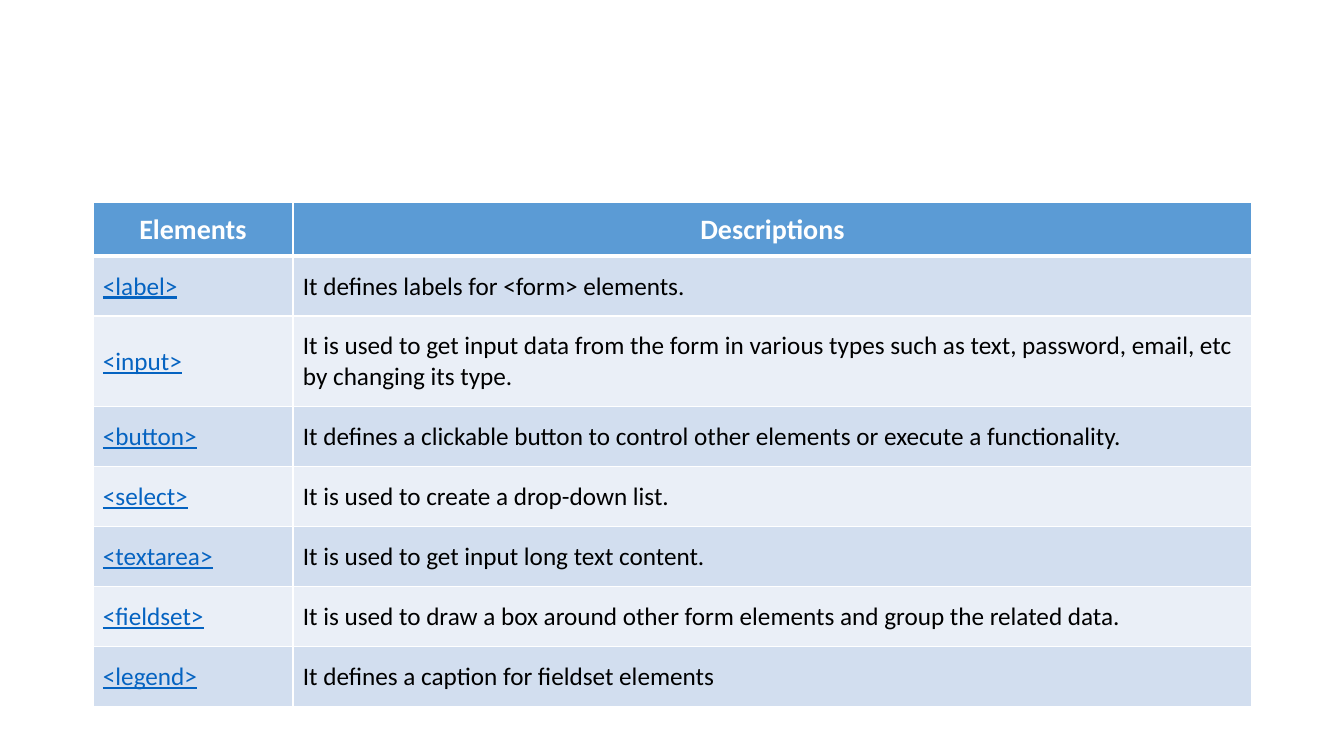
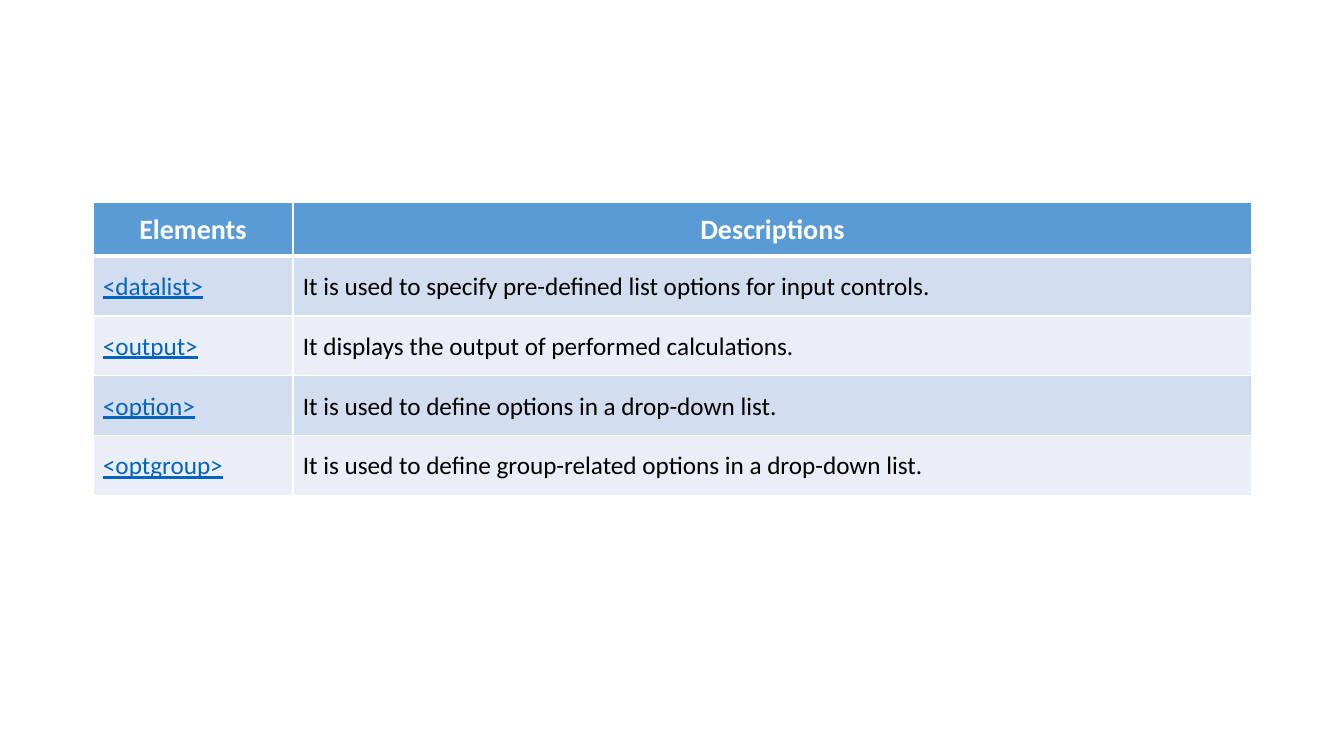
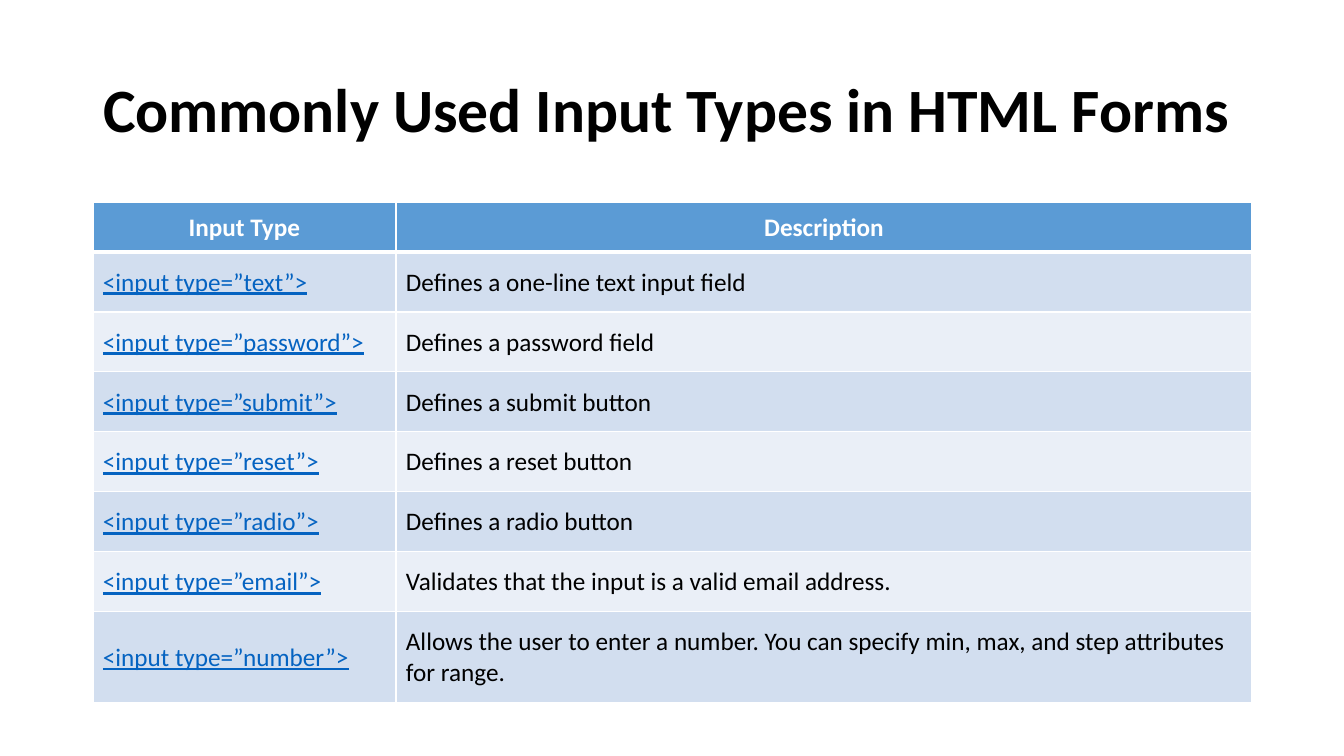
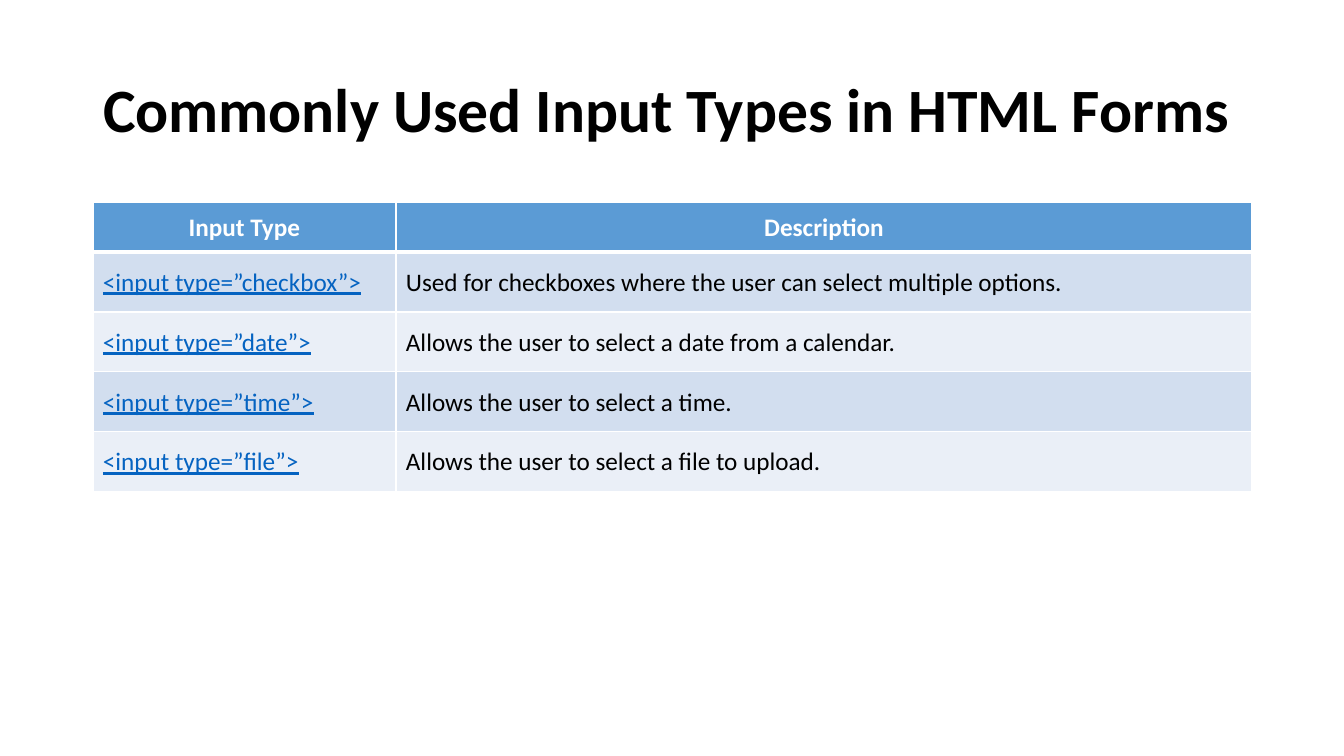
from lxml import etree
from pptx import Presentation
from pptx.dml.color import RGBColor
from pptx.enum.text import MSO_ANCHOR, MSO_AUTO_SIZE, PP_ALIGN
from pptx.oxml.ns import qn
from pptx.util import Emu, Pt

MIDDLE = MSO_ANCHOR.MIDDLE
NO_AUTOFIT = MSO_AUTO_SIZE.NONE
LEFT, CENTER = PP_ALIGN.LEFT, PP_ALIGN.CENTER

INPUT_TITLE = "Commonly Used Input Types in HTML Forms"
ELEMENT_TABLE = {
    "title": None, "headers": ("Elements", "Descriptions"),
    "header_size": 20, "header_height": 54, "first_column": 200,
}
INPUT_TABLE = {
    "title": INPUT_TITLE, "headers": ("Input Type", "Description"),
    "header_size": 18, "header_height": 50, "first_column": 303,
}

SLIDES = [
    (ELEMENT_TABLE, [
        ("<label>", "It defines labels for <form> elements."),
        ("<input>", "It is used to get input data from the form in various types such as "
                    "text, password, email, etc by changing its type."),
        ("<button>", "It defines a clickable button to control other elements or execute "
                     "a functionality."),
        ("<select>", "It is used to create a drop-down list."),
        ("<textarea>", "It is used to get input long text content."),
        ("<fieldset>", "It is used to draw a box around other form elements and group "
                       "the related data."),
        ("<legend>", "It defines a caption for fieldset elements"),
    ]),
    (ELEMENT_TABLE, [
        ("<datalist>", "It is used to specify pre-defined list options for input controls."),
        ("<output>", "It displays the output of performed calculations."),
        ("<option>", "It is used to define options in a drop-down list."),
        ("<optgroup>", "It is used to define group-related options in a drop-down list."),
    ]),
    (INPUT_TABLE, [
        ("<input type=”text”>", "Defines a one-line text input field"),
        ("<input type=”password”>", "Defines a password field"),
        ("<input type=”submit”>", "Defines a submit button"),
        ("<input type=”reset”>", "Defines a reset button"),
        ("<input type=”radio”>", "Defines a radio button"),
        ("<input type=”email”>", "Validates that the input is a valid email address."),
        ("<input type=”number”>", "Allows the user to enter a number. You can specify min, "
                                  "max, and step attributes for range."),
    ]),
    (INPUT_TABLE, [
        ("<input type=”checkbox”>", "Used for checkboxes where the user can select "
                                    "multiple options."),
        ("<input type=”date”>", "Allows the user to select a date from a calendar."),
        ("<input type=”time”>", "Allows the user to select a time."),
        ("<input type=”file”>", "Allows the user to select a file to upload."),
    ]),
]

FONT = "Calibri"
WHITE, BLACK, LINK = "FFFFFF", "000000", "0563C1"
HEADER_FILL, BANDS = "5B9BD5", ("D2DEEF", "EAEFF7")
SLIDE_WIDTH, SLIDE_HEIGHT = 1344, 756
MARGIN, CONTENT_WIDTH = 93, 1159
TITLE_TOP, TITLE_HEIGHT = 40, 146
TABLE_TOP, ROW_HEIGHT = 202, 60
TITLE_SIZE, BODY_SIZE = 44, 18
HEADER_RULE, THIN_RULE = 3, 1
TITLE_ONLY, BLANK = 5, 6


def px(length):
    return Emu(round(length * 914400 / 100.8))


def color(value):
    return RGBColor.from_string(value)


def add_text(paragraph, text, size, ink, bold=False, underline=False, align=LEFT):
    paragraph.alignment = align
    run = paragraph.add_run()
    run.text = text
    font = run.font
    font.name, font.size = FONT, Pt(size)
    font.bold, font.underline = bold, underline
    font.color.rgb = color(ink)


def add_borders(cell, top, bottom):
    properties = cell._tc.get_or_add_tcPr()
    for side, width in (("L", THIN_RULE), ("R", THIN_RULE), ("T", top), ("B", bottom)):
        line = etree.SubElement(properties, qn("a:ln" + side), w=str(Pt(width)))
        fill = etree.SubElement(line, qn("a:solidFill"))
        etree.SubElement(fill, qn("a:srgbClr"), val=WHITE)


def format_cell(cell, fill, insets, top=THIN_RULE, bottom=THIN_RULE):
    add_borders(cell, top, bottom)
    cell.fill.solid()
    cell.fill.fore_color.rgb = color(fill)
    cell.vertical_anchor = MIDDLE
    side, above, below = insets
    cell.margin_left = cell.margin_right = px(side)
    cell.margin_top, cell.margin_bottom = px(above), px(below)


def add_title(slide, text):
    title = slide.shapes.title
    title.left, title.top = px(MARGIN), px(TITLE_TOP)
    title.width, title.height = px(CONTENT_WIDTH), px(TITLE_HEIGHT)
    frame = title.text_frame
    frame.word_wrap, frame.auto_size = True, NO_AUTOFIT
    frame.vertical_anchor = MIDDLE
    heading = frame.paragraphs[0]
    heading.line_spacing = 0.9
    add_text(heading, text, TITLE_SIZE, BLACK, bold=True)


def add_reference_table(slide, style, entries):
    height = style["header_height"] + ROW_HEIGHT * len(entries)
    table = slide.shapes.add_table(
        len(entries) + 1, 2, px(MARGIN), px(TABLE_TOP), px(CONTENT_WIDTH), px(height)).table
    first = style["first_column"]
    for column, width in zip(table.columns, (first, CONTENT_WIDTH - first)):
        column.width = px(width)

    table.rows[0].height = px(style["header_height"])
    for index, (header, side) in enumerate(zip(style["headers"], (4, 10))):
        cell = table.cell(0, index)
        format_cell(cell, HEADER_FILL, (side, 10, 9), bottom=HEADER_RULE)
        add_text(cell.text_frame.paragraphs[0], header, style["header_size"], WHITE,
                 bold=True, align=CENTER)

    for number, entry in enumerate(entries, 1):
        table.rows[number].height = px(ROW_HEIGHT)
        top = HEADER_RULE if number == 1 else THIN_RULE
        for index, text in enumerate(entry):
            cell = table.cell(number, index)
            format_cell(cell, BANDS[(number - 1) % 2], (10, 15, 14), top=top)
            is_tag = index == 0
            add_text(cell.text_frame.paragraphs[0], text, BODY_SIZE,
                     LINK if is_tag else BLACK, underline=is_tag)


def main():
    deck = Presentation()
    deck.slide_width, deck.slide_height = px(SLIDE_WIDTH), px(SLIDE_HEIGHT)
    for style, entries in SLIDES:
        layout = TITLE_ONLY if style["title"] else BLANK
        slide = deck.slides.add_slide(deck.slide_layouts[layout])
        if style["title"]:
            add_title(slide, style["title"])
        add_reference_table(slide, style, entries)
    deck.save("out.pptx")


if __name__ == "__main__":
    main()
